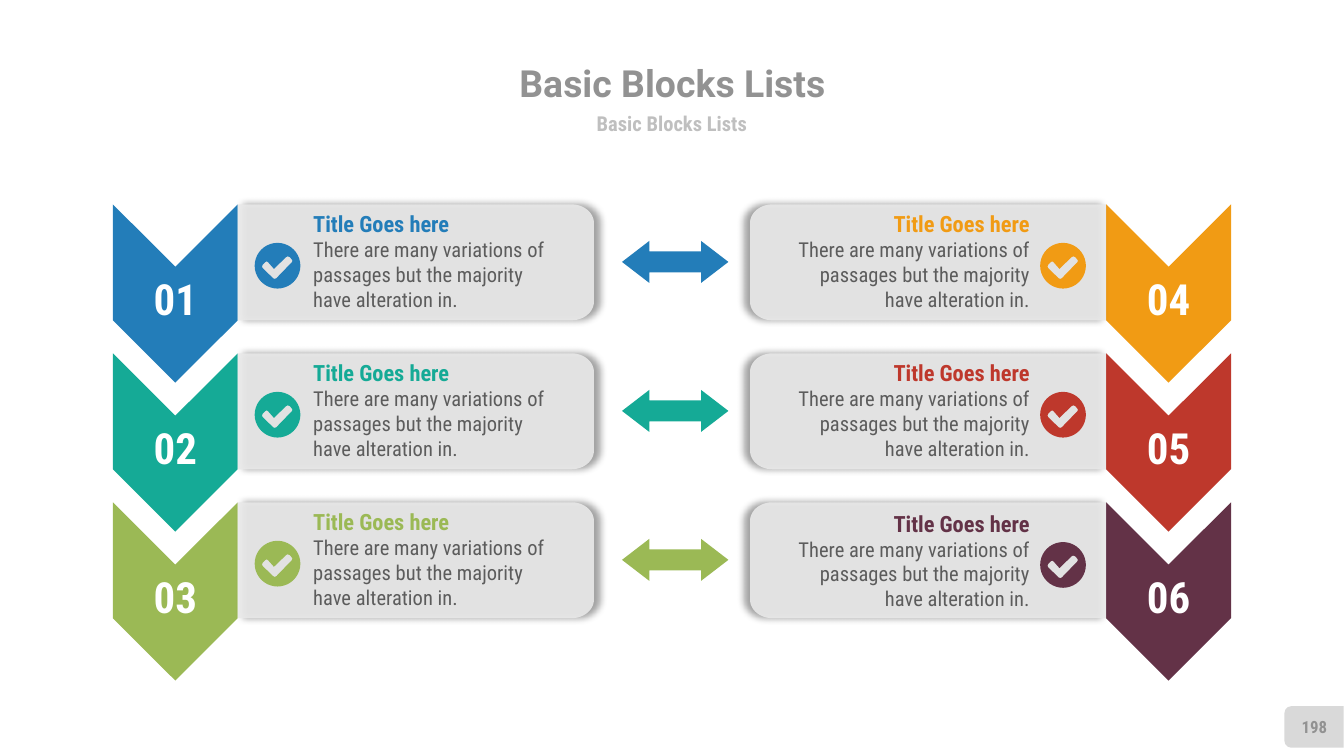
"""Build a slide of six numbered blocks in two mirrored columns."""
from dataclasses import dataclass
from math import cos, pi, sin

from lxml import etree
from pptx import Presentation, util as u
from pptx.dml.color import RGBColor
from pptx.enum import shapes, text
from pptx.oxml.ns import qn

BLUE = RGBColor(0x23, 0x7D, 0xB9)
TEAL = RGBColor(0x15, 0xAA, 0x96)
GREEN = RGBColor(0x9B, 0xB9, 0x55)
ORANGE = RGBColor(0xF1, 0x9B, 0x14)
RED = RGBColor(0xBE, 0x38, 0x2C)
PLUM = RGBColor(0x63, 0x32, 0x47)
PALE = RGBColor(0xE9, 0xE9, 0xE9)
TAB = RGBColor(0xD9, 0xD9, 0xD9)
SOFT = RGBColor(0xBF, 0xBF, 0xBF)
GREY = RGBColor(0x92, 0x92, 0x92)
DARK = RGBColor(0x5C, 0x5C, 0x5C)
WHITE = RGBColor(0xFF, 0xFF, 0xFF)

WIDE, HIGH = 720, 405
TOP, STEP = 109.5, 79.8
EDGE, SEAM, END = 60.5, 127.4, 318.2
SIDE, NOTCH = 62.1, 33.4
CURVE = (12, 10)
DISC = 12.25
TICK = [(7.6, -3.4), (6.6, -4.6), (5.4, -5), (4.6, -4.6), (-1.9, 1.7), (-5, -1.8),
        (-5.8, -2.3), (-6.6, -1.9), (-8, -0.4), (-8.3, 0.4), (-8, 1.2), (-2.4, 6.7),
        (-1.5, 7.1), (-0.6, 6.7), (7.6, -1.8), (8, -2.6)]
SANS, SLIM = "Roboto", "Roboto Condensed"
LEFT, MID, RIGHT = text.PP_ALIGN.LEFT, text.PP_ALIGN.CENTER, text.PP_ALIGN.RIGHT
BODY = "There are many variations of passages but the majority have alteration in."


@dataclass
class Block:
    num: str
    color: RGBColor
    row: int
    flip: bool
    drop: float = 0

    @property
    def top(self) -> float:
        return TOP + self.row * STEP


BLOCKS = [
    Block("01", BLUE, 0, False),
    Block("02", TEAL, 1, False),
    Block("03", GREEN, 2, False),
    Block("04", ORANGE, 0, True),
    Block("05", RED, 1, True),
    Block("06", PLUM, 2, True, 0.7),
]


def arc(x: float, y: float, rx: float, ry: float, start: float, span: float) -> list:
    turns = [start + span * i / 40 for i in range(41)]
    return [(x + rx * cos(t), y + ry * sin(t)) for t in turns]


def paint(shape, color: RGBColor) -> None:
    shape.shadow.inherit = False
    shape.fill.solid()
    shape.fill.fore_color.rgb = color
    shape.line.fill.background()


def outline(slide, color: RGBColor, *loops: list):
    scaled = [[(u.Pt(x), u.Pt(y)) for x, y in loop] for loop in loops]
    pen = slide.shapes.build_freeform(*scaled[0][0])
    for i, loop in enumerate(scaled):
        if i:
            pen.move_to(*loop[0])
        pen.add_line_segments(loop[1:], close=True)
    shape = pen.convert_to_shape()
    paint(shape, color)
    return shape


def mirror(points: list, flip: bool) -> list:
    return [(WIDE - x, y) for x, y in points] if flip else points


def place(shape, x: float, y: float, w: float, h: float) -> None:
    shape.left, shape.top, shape.width, shape.height = map(u.Pt, (x, y, w, h))


def setup(shape, align, anchor, pad=(0, 0, 0, 0), wrap: bool = True):
    frame = shape.text_frame
    frame.word_wrap = wrap
    frame.auto_size = text.MSO_AUTO_SIZE.NONE
    frame.vertical_anchor = anchor
    frame.margin_left, frame.margin_top, frame.margin_right, frame.margin_bottom = map(u.Pt, pad)
    para = frame.paragraphs[0]
    para.alignment = align
    para.space_before = u.Pt(0)
    return para


def write(para, words: str, size: float, color: RGBColor, bold: bool = True, face: str = SLIM) -> None:
    run = para.add_run()
    run.text = words
    run.font.name, run.font.size, run.font.bold = face, u.Pt(size), bold
    run.font.color.rgb = color


def chevron(slide, block: Block) -> None:
    y, mid = block.top, (EDGE + SEAM) / 2
    points = [(SEAM, y), (SEAM, y + SIDE), (mid, y + SIDE + NOTCH),
              (EDGE, y + SIDE), (EDGE, y), (mid, y + NOTCH)]
    shape = outline(slide, block.color, mirror(points, block.flip))
    para = setup(shape, MID, text.MSO_ANCHOR.MIDDLE, (1.4, 43.2, 1.4, 34.6))
    para.line_spacing = 0.9
    write(para, block.num, 23, WHITE)


def panel(slide, block: Block) -> None:
    y, (rx, ry) = block.top, CURVE
    points = [(SEAM, y), *arc(END - rx, y + ry, rx, ry, -pi / 2, pi / 2),
              *arc(END - rx, y + SIDE - ry, rx, ry, 0, pi / 2), (SEAM, y + SIDE)]
    shape = outline(slide, PALE, mirror(points, block.flip))
    props = shape.element.spPr
    tone = props.find(".//" + qn("a:srgbClr"))
    etree.SubElement(tone, qn("a:alpha"), val="90000")
    glow = etree.SubElement(
        props.find(qn("a:effectLst")), qn("a:outerShdw"), blurRad=str(u.Pt(4)),
        dist=str(u.Pt(3)), dir="10800000" if block.flip else "0", algn="ctr", rotWithShape="0")
    tone = etree.SubElement(glow, qn("a:srgbClr"), val="000000")
    etree.SubElement(tone, qn("a:alpha"), val="40000")


def check(slide, block: Block) -> None:
    x = 569.5 if block.flip else 148.7
    y = block.top + 32.9 + block.drop
    tick = [(x + dx, y + dy) for dx, dy in TICK]
    outline(slide, block.color, arc(x, y, DISC, DISC, 0, 2 * pi), tick)


def label(slide, block: Block) -> None:
    box = slide.shapes.add_textbox(0, 0, 0, 0)
    place(box, 419.5 if block.flip else 167.8, block.top + 3.3 + block.drop, 132.2, 54.7)
    para = setup(box, RIGHT if block.flip else LEFT, text.MSO_ANCHOR.TOP)
    box.text_frame.auto_size = text.MSO_AUTO_SIZE.SHAPE_TO_FIT_TEXT
    write(para, "Title Goes here", 12, block.color)
    para.add_line_break()
    write(para, BODY, 11, DARK, False)


def arrow(slide, block: Block) -> None:
    shape = slide.shapes.add_shape(shapes.MSO_SHAPE.LEFT_RIGHT_ARROW, 0, 0, 0, 0)
    place(shape, 333.2, block.top + 19.6, 57, 22.5)
    shape.adjustments[0], shape.adjustments[1] = 0.5, 0.65
    paint(shape, block.color)


def footer(slide) -> None:
    tab = slide.shapes.add_shape(shapes.MSO_SHAPE.ROUND_2_SAME_RECTANGLE, 0, 0, 0, 0)
    place(tab, 692.8, 373.6, 22.3, 31.7)
    tab.rotation = 270
    paint(tab, TAB)
    box = slide.shapes.add_textbox(0, 0, 0, 0)
    place(box, 689, 378.7, 30.2, 21.6)
    para = setup(box, MID, text.MSO_ANCHOR.MIDDLE, (7.2, 3.6, 7.2, 3.6))
    write(para, "198", 9, GREY)


def heading(slide) -> None:
    title, spare, sub = slide.placeholders
    spare.element.getparent().remove(spare.element)
    place(title, 138.2, 30.2, 444.2, 28.1)
    place(sub, 198, 58.3, 324, 15.8)
    for shape, size, color, face in ((title, 20, GREY, SANS), (sub, 11, SOFT, SLIM)):
        para = setup(shape, MID, text.MSO_ANCHOR.MIDDLE, wrap=False)
        write(para, "Basic Blocks Lists", size, color, face=face)


def main() -> None:
    deck = Presentation()
    deck.slide_width, deck.slide_height = u.Pt(WIDE), u.Pt(HIGH)
    slide = deck.slides.add_slide(deck.slide_layouts.get_by_name("Content with Caption"))
    heading(slide)
    footer(slide)
    for block in BLOCKS:
        chevron(slide, block)
        panel(slide, block)
        check(slide, block)
        label(slide, block)
        if not block.flip:
            arrow(slide, block)
    deck.save("out.pptx")


if __name__ == "__main__":
    main()
